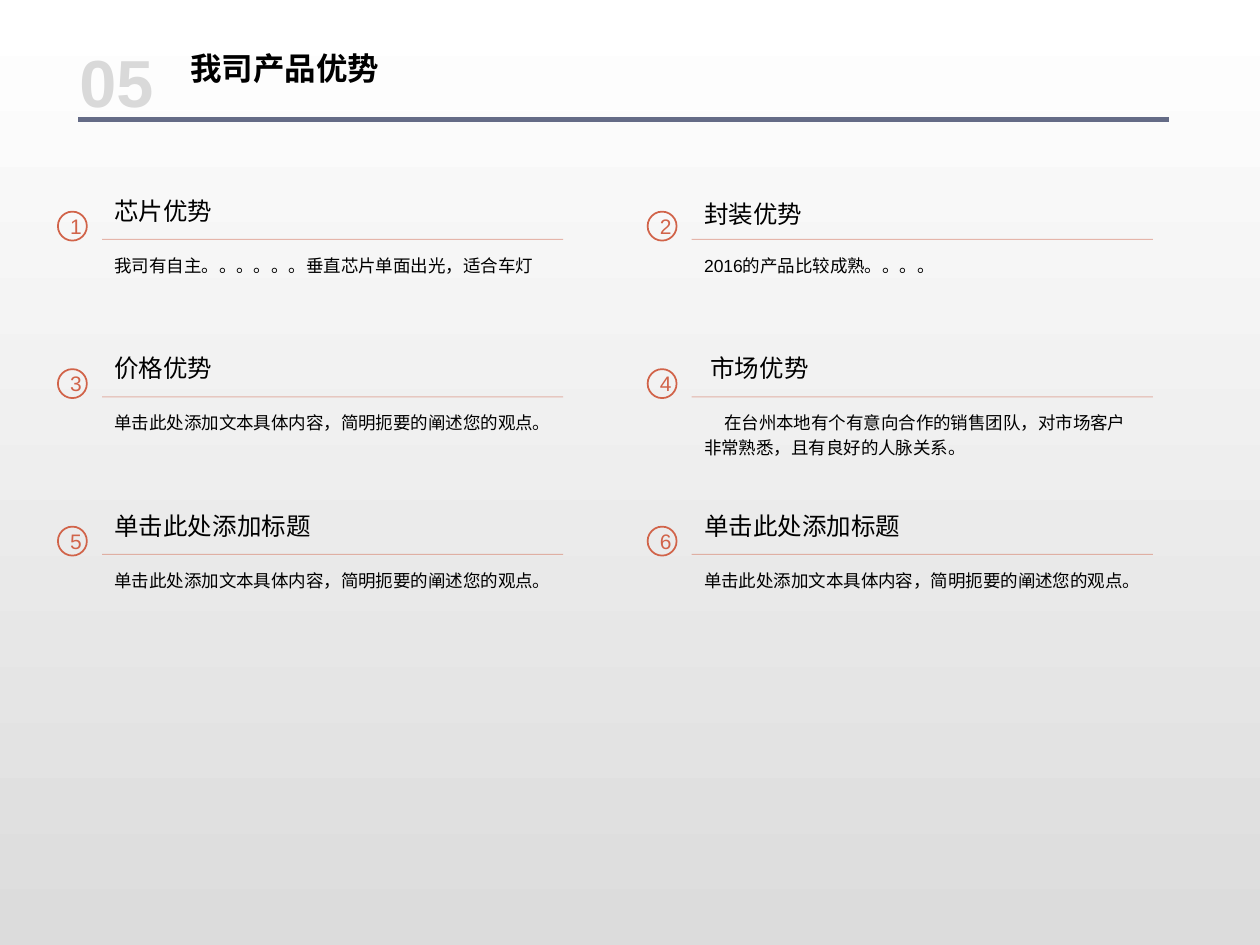
import lxml.etree
import pptx
import pptx.dml.color
import pptx.enum.shapes
import pptx.enum.text
import pptx.oxml.ns
import pptx.util

Inches = pptx.util.Inches
Pt = pptx.util.Pt
qn = pptx.oxml.ns.qn
MIDDLE = pptx.enum.text.MSO_ANCHOR.MIDDLE

COLORS = {
    "top": "FFFFFF",
    "bottom": "DCDCDC",
    "text": "000000",
    "accent": "D16349",
    "rule": "646B86",
    "number": "D9D9D9",
}
HEADING_FONT = "Noto Sans CJK SC"
BODY_FONT = "Arial"


def rgb(name):
    return pptx.dml.color.RGBColor.from_string(COLORS[name])


class SlideBuilder:
    """Holds the style and the current slide, and adds each kind of element."""

    def __init__(self, slide):
        self.slide = slide

    def background(self):
        fill = self.slide.background.fill
        fill.gradient()
        fill.gradient_angle = 270
        for stop, position, color in zip(fill.gradient_stops, (0, 1), ("top", "bottom")):
            stop.position = position
            stop.color.rgb = rgb(color)

    def set_words(self, frame, words, size, font, color="text", bold=False, spacing=None, indent=0):
        paragraph = frame.paragraphs[0]
        paragraph.text = words
        if spacing:
            paragraph.line_spacing = spacing
        if indent:
            paragraph._p.get_or_add_pPr().set("indent", str(Inches(indent)))
        paragraph.font.size = Pt(size)
        paragraph.font.bold = bold
        paragraph.font.color.rgb = rgb(color)
        paragraph.font.name = font
        if font == HEADING_FONT:
            east_asian = lxml.etree.SubElement(paragraph.font._element, qn("a:ea"))
            east_asian.set("typeface", font)
        return paragraph

    def text(self, left, top, width, height, words, size, font, **style):
        box = self.slide.shapes.add_textbox(
            Inches(left), Inches(top), Inches(width), Inches(height))
        box.text_frame.word_wrap = True
        self.set_words(box.text_frame, words, size, font, **style)
        return box.text_frame

    def rule(self, left, right, y, color, width, opacity=None):
        line = self.slide.shapes.add_connector(
            pptx.enum.shapes.MSO_CONNECTOR.STRAIGHT,
            Inches(left), Inches(y), Inches(right), Inches(y))
        line.line.color.rgb = rgb(color)
        line.line.width = Pt(width)
        properties = line._element.spPr
        lxml.etree.SubElement(properties, qn("a:effectLst"))
        if opacity:
            alpha = lxml.etree.SubElement(next(properties.iter(qn("a:srgbClr"))), qn("a:alpha"))
            alpha.set("val", str(opacity * 1000))

    def badge(self, left, top, number):
        circle = self.slide.shapes.add_shape(
            pptx.enum.shapes.MSO_SHAPE.OVAL,
            Inches(left), Inches(top), Inches(0.23), Inches(0.23))
        circle.shadow.inherit = False
        circle.fill.background()
        circle.line.color.rgb = rgb("accent")
        circle.line.width = Pt(1)
        circle.text_frame.vertical_anchor = MIDDLE
        label = self.set_words(circle.text_frame, str(number), 12, BODY_FONT, "accent")
        label.alignment = pptx.enum.text.PP_ALIGN.CENTER

    def advantage(self, left, y, number, heading, body, heading_style, body_indent):
        self.rule(left, left + 3.66, y, "accent", 0.5, opacity=44)
        self.text(left, y - 0.37, 3.67, 0.35, heading, 14, HEADING_FONT, **heading_style)
        self.text(left, y + 0.04, 3.67, 0.64, body, 10, BODY_FONT,
                  spacing=1.2, indent=body_indent)
        self.badge(left - 0.35, y - 0.22, number)

    def header(self, number, title):
        self.rule(0.62, 9.28, 0.95, "rule", 3)
        frame = self.text(0.55, 0.05, 1.09, 0.92, number, 38, BODY_FONT,
                          color="number", bold=True, spacing=1.2)
        frame.vertical_anchor = MIDDLE
        frame.margin_left = frame.margin_right = Inches(0.08)
        frame.margin_top, frame.margin_bottom = Inches(0.18), Inches(0.04)
        frame = self.text(1.41, 0.34, 3.59, 0.4, title, 18, HEADING_FONT, bold=True)
        frame.auto_size = pptx.enum.text.MSO_AUTO_SIZE.SHAPE_TO_FIT_TEXT


def main():
    presentation = pptx.Presentation()
    presentation.slide_width, presentation.slide_height = Inches(10), Inches(7.5)
    builder = SlideBuilder(presentation.slides.add_slide(presentation.slide_layouts[6]))
    builder.background()

    prompt_heading = "单击此处添加标题"
    prompt_body = "单击此处添加文本具体内容，简明扼要的阐述您的观点。"
    tight = {"spacing": 0.9}
    advantages = [
        ("芯片优势", "我司有自主。。。。。。垂直芯片单面出光，适合车灯", tight, 0),
        ("封装优势", "2016的产品比较成熟。。。。", {}, 0),
        ("价格优势", prompt_body, tight, 0),
        ("市场优势", "在台州本地有个有意向合作的销售团队，对市场客户非常熟悉，且有良好的人脉关系。",
         {"spacing": 0.9, "indent": 0.05}, 0.16),
        (prompt_heading, prompt_body, tight, 0),
        (prompt_heading, prompt_body, tight, 0),
    ]
    for index, (heading, body, heading_style, body_indent) in enumerate(advantages):
        row, column = divmod(index, 2)
        builder.advantage(0.81 + 4.68 * column, 1.9 + 1.25 * row, index + 1,
                          heading, body, heading_style, body_indent)

    builder.header("05", "我司产品优势")
    presentation.save("out.pptx")


if __name__ == "__main__":
    main()
